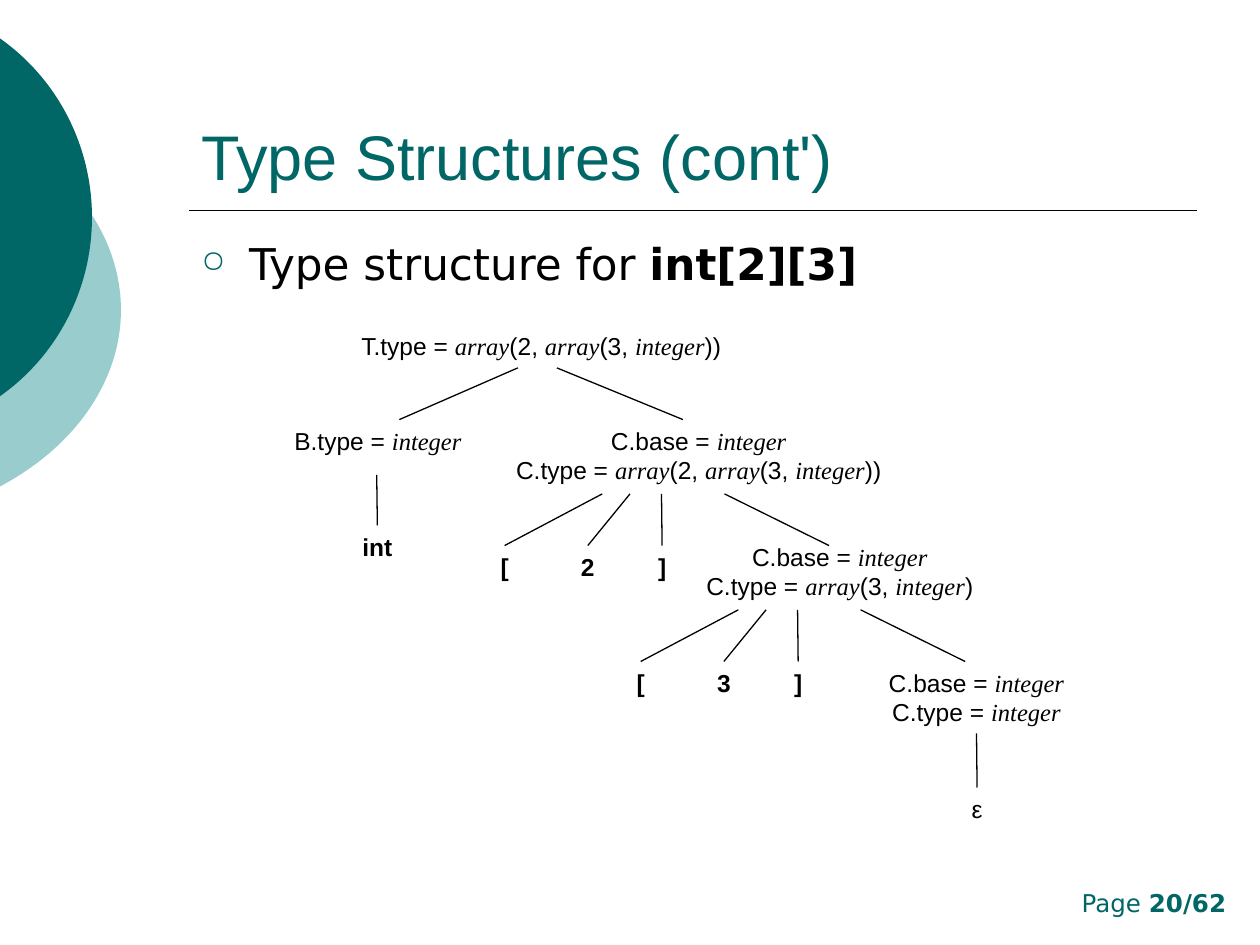
from dataclasses import dataclass

from lxml import etree
from pptx import Presentation
from pptx.dml.color import RGBColor
from pptx.enum.shapes import MSO_CONNECTOR, MSO_SHAPE
from pptx.enum.text import MSO_ANCHOR, MSO_AUTO_SIZE, PP_ALIGN
from pptx.oxml.ns import qn
from pptx.util import Inches, Pt

OVAL, STRAIGHT = MSO_SHAPE.OVAL, MSO_CONNECTOR.STRAIGHT
LEFT, CENTER, RIGHT = PP_ALIGN.LEFT, PP_ALIGN.CENTER, PP_ALIGN.RIGHT
TOP, BOTTOM = MSO_ANCHOR.TOP, MSO_ANCHOR.BOTTOM
GROW, FIXED = MSO_AUTO_SIZE.SHAPE_TO_FIT_TEXT, MSO_AUTO_SIZE.NONE
TOP_SIDE, BOTTOM_SIDE = 0, 2


@dataclass(frozen=True)
class Theme:
    teal: str = "006666"
    pale: str = "99CCCC"
    ink: str = "000000"
    sans: str = "Arial"
    wide: str = "DejaVu Sans"
    serif: str = "Times New Roman"
    title: int = 36
    body: int = 25
    label: int = 14


def write(tf, text, size, font, color, align=LEFT, bold=False, term_font=None):
    """Fill a text frame; parts between asterisks are italic in term_font, or bold without one."""
    for i, line in enumerate(text.split("\n")):
        p = tf.paragraphs[0] if i == 0 else tf.add_paragraph()
        p.alignment = align
        for j, part in enumerate(line.split("*")):
            if not part:
                continue
            r = p.add_run()
            r.text = part
            term = j % 2 == 1
            r.font.size = Pt(size)
            r.font.name = term_font if term and term_font else font
            r.font.bold = bold or (term and not term_font)
            r.font.italic = bool(term and term_font)
            r.font.color.rgb = RGBColor.from_string(color)


class Deck:
    """Hold the theme and the current slide, and draw each kind of element."""

    def __init__(self, prs, theme):
        self.theme = theme
        self.s = prs.slides.add_slide(prs.slide_layouts[6])

    def disc(self, x, y, w, h, color):
        """Draw a plain ellipse."""
        sp = self.s.shapes.add_shape(OVAL, Inches(x), Inches(y), Inches(w), Inches(h))
        sp.shadow.inherit = False
        sp.fill.solid()
        sp.fill.fore_color.rgb = RGBColor.from_string(color)
        sp.line.fill.background()

    def text(self, x, y, w, h, text, size, font, color, anchor=TOP, fit=FIXED, **fmt):
        """Add a wrapped text box."""
        sp = self.s.shapes.add_textbox(Inches(x), Inches(y), Inches(w), Inches(h))
        tf = sp.text_frame
        tf.word_wrap = True
        tf.vertical_anchor = anchor
        tf.auto_size = fit
        write(tf, text, size, font, color, **fmt)
        return sp

    def bullet(self, sp, char, color, percent, indent):
        """Give the first paragraph of a box a hanging bullet."""
        pPr = sp.text_frame.paragraphs[0]._p.get_or_add_pPr()
        pPr.set("marL", str(Inches(indent)))
        pPr.set("indent", str(-Inches(indent)))
        clr = etree.SubElement(pPr, qn("a:buClr"))
        etree.SubElement(clr, qn("a:srgbClr"), val=color)
        etree.SubElement(pPr, qn("a:buSzPct"), val=str(percent * 1000))
        etree.SubElement(pPr, qn("a:buChar"), char=char)

    def node(self, x, y, w, text, bold=False):
        """Add a centred tree label, one or two lines high."""
        t = self.theme
        h = 0.57 if "\n" in text else 0.33
        return self.text(x, y, w, h, text, t.label, t.sans, t.ink, fit=GROW,
                         align=CENTER, bold=bold, term_font=t.serif)

    def line(self, x1, y1, x2, y2, width=0.75, start=None, end=None):
        """Draw a line, joined below the start box and above the end box if given."""
        c = self.s.shapes.add_connector(STRAIGHT, Inches(x1), Inches(y1), Inches(x2), Inches(y2))
        c.line.width = Pt(width)
        c.line.color.rgb = RGBColor.from_string(self.theme.ink)
        etree.SubElement(c._element.spPr, qn("a:effectLst"))
        if start is not None:
            c.begin_connect(start, BOTTOM_SIDE)
        if end is not None:
            c.end_connect(end, TOP_SIDE)

    def leaf(self, x, y, text, bold=True):
        """Add a narrow terminal label."""
        return self.node(x, y, 0.67, text, bold)

    def production(self, x, y, size):
        """Draw the branches to '[', size, ']' and the next C node."""
        leaves = (("[", 0, 1.11), (size, 0.66, 1.33), ("]", 1.25, 1.58))
        for text, leaf_x, line_x in leaves:
            sp = self.leaf(x + leaf_x, y + 0.41, text)
            self.line(x + line_x, y, x + leaf_x + 0.33, y + 0.41, end=sp)
        self.line(x + 2.08, y, x + 2.91, y + 0.41)


def main():
    """Build the slide and save it."""
    prs = Presentation()
    prs.slide_width, prs.slide_height = Inches(10), Inches(7.5)
    t = Theme()
    d = Deck(prs, t)

    d.disc(-3.54, 0.75, 4.5, 3.42, t.pale)
    d.disc(-2.65, 0, 3.38, 3.45, t.teal)
    d.line(1.5, 1.67, 9.5, 1.67, width=1)
    d.text(7.58, 7, 2.25, 0.33, "Page *20/62*", t.label, t.wide, t.teal, fit=GROW, align=RIGHT)
    d.text(1.5, 0.33, 8, 1.25, "Type Structures (cont')", t.title, t.sans, t.teal, anchor=BOTTOM)
    body = d.text(1.5, 1.83, 8, 4.66, "Type structure for *int[2][3]*", t.body, t.wide, t.ink)
    d.bullet(body, "○", t.teal, 70, 0.38)

    d.node(2.67, 2.58, 3.25, "T.type = *array*(2, *array*(3, *integer*))")
    d.line(4.11, 2.92, 3.17, 3.33)
    d.line(4.42, 2.92, 5.42, 3.33)

    d.node(2, 3.33, 2, "B.type = *integer*")
    d.line(2.99, 3.77, 2.99, 4.17, end=d.leaf(2.66, 4.17, "int"))

    base = "C.base = *integer*\nC.type = "
    d.node(3.92, 3.33, 3.25, base + "*array*(2, *array*(3, *integer*))")
    d.production(3.67, 3.92, "2")
    d.node(5.33, 4.25, 2.67, base + "*array*(3, *integer*)")
    d.production(4.75, 4.84, "3")
    last = d.node(6.75, 5.25, 2, base + "*integer*")
    empty = d.leaf(7.42, 6.25, "ε", bold=False)
    d.line(7.75, 5.83, 7.75, 6.25, start=last, end=empty)

    prs.save("out.pptx")


if __name__ == "__main__":
    main()
